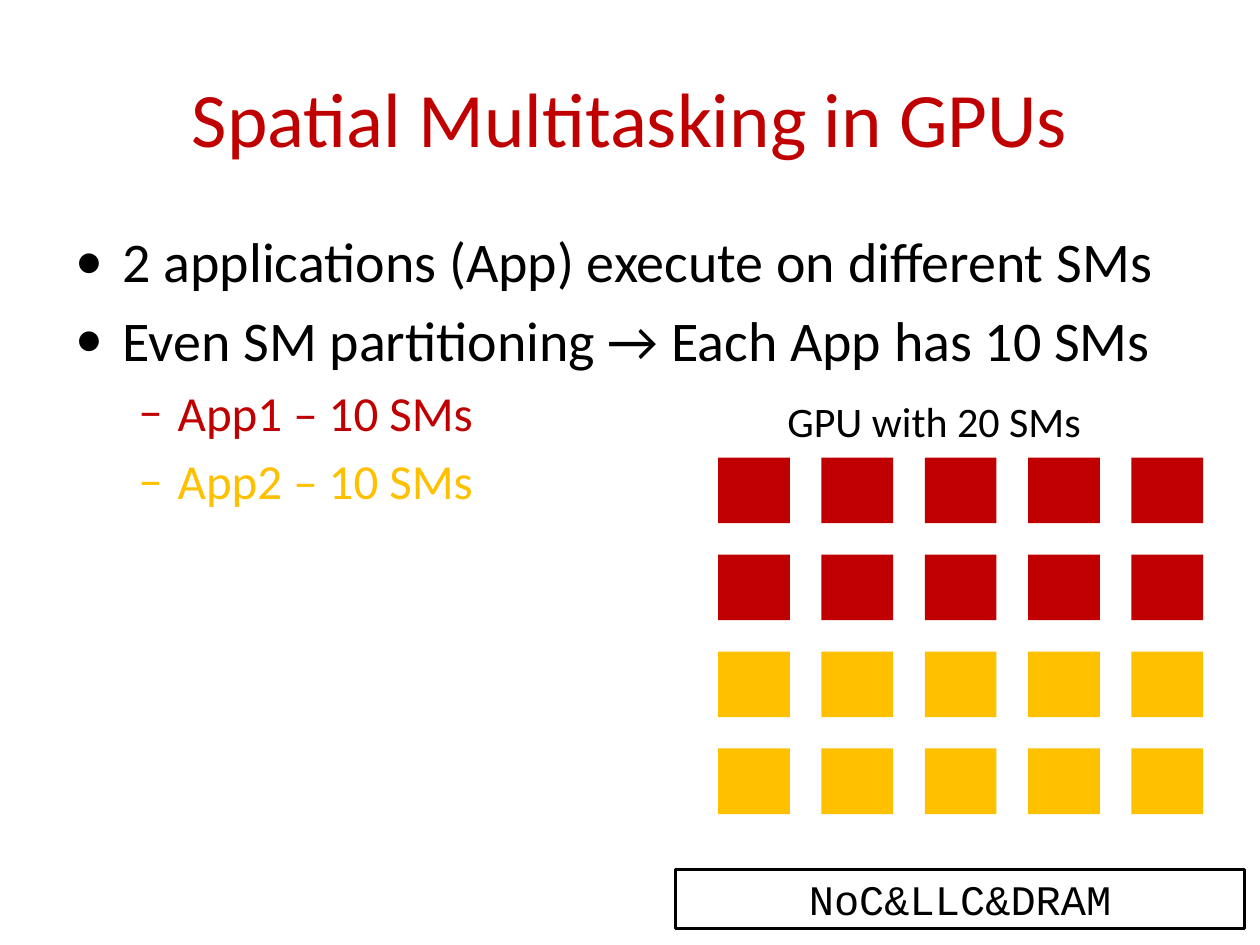
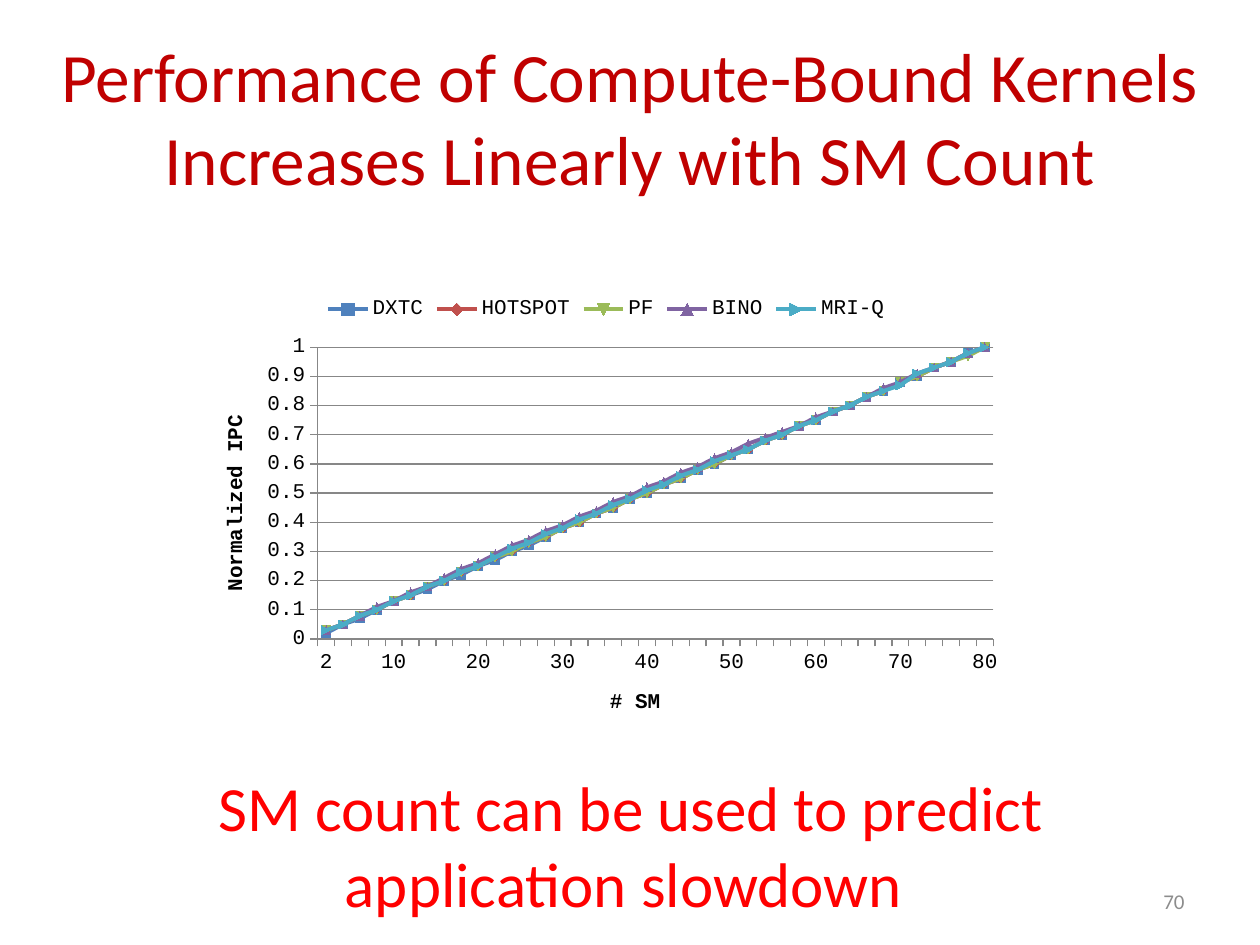
import itertools
import math
from dataclasses import dataclass
from typing import Any, NamedTuple

import lxml.etree
import pptx
import pptx.chart.data
import pptx.dml.color
import pptx.enum.chart
import pptx.enum.shapes
import pptx.enum.text
import pptx.oxml.ns
import pptx.util

Pt = pptx.util.Pt
qn = pptx.oxml.ns.qn
Align = pptx.enum.text.PP_ALIGN
Anchor = pptx.enum.text.MSO_ANCHOR


@dataclass(frozen=True)
class Theme:
    sans: str = "Calibri"
    mono: str = "Courier New"
    black: str = "000000"
    white: str = "FFFFFF"
    crimson: str = "C00000"
    amber: str = "FFC000"
    alert: str = "FF0000"
    number: str = "8C8C8C"
    grid: str = "878787"
    blue: str = "4F81BD"
    red: str = "C0504D"
    green: str = "9BBB59"
    purple: str = "8064A2"
    teal: str = "4BACC6"
    title_size: float = 44
    long_title_size: float = 39.6
    callout_size: float = 36
    bullet_size: float = 32
    dash_size: float = 28
    label_size: float = 24
    small_size: float = 12


class Area(NamedTuple):
    left: float
    top: float
    width: float
    height: float


class BulletLevel(NamedTuple):
    mark: str
    size: float
    margin: float
    hanging: float


class Bullet(NamedTuple):
    level: BulletLevel
    text: str
    color: str


class Kernel(NamedTuple):
    name: str
    color: str
    drift_by_sm_count: dict[int, float]


THEME = Theme()

MAIN_POINT = BulletLevel("•", THEME.bullet_size, margin=27, hanging=27)
SUB_POINT = BulletLevel("–", THEME.dash_size, margin=58.5, hanging=22.5)
BULLET_SPACING = 0.2
BULLETS = [
    Bullet(MAIN_POINT, "2 applications (App) execute on different SMs", THEME.black),
    Bullet(MAIN_POINT, "Even SM partitioning → Each App has 10 SMs", THEME.black),
    Bullet(SUB_POINT, "App1 – 10 SMs", THEME.crimson),
    Bullet(SUB_POINT, "App2 – 10 SMs", THEME.amber),
]

APP_COLORS = [THEME.crimson, THEME.amber]
ROWS_PER_APP = 2
SM_COLUMNS = 5
FIRST_SM = Area(410.4, 261.5, 41, 37.5)
SM_PITCH_X = 59.04
SM_PITCH_Y = 55.4

MAX_SM = 80
SM_STEP = 2
LABEL_STEP = 10
SM_COUNTS = range(SM_STEP, MAX_SM + 1, SM_STEP)
KERNELS = [
    Kernel("DXTC", THEME.blue,
           {0: 0, 2: -0.2, 6: -0.2, 10: 0.2, 14: -0.2, 26: -0.2, 30: 0, 80: 0}),
    Kernel("HOTSPOT", THEME.red, {0: 0, 80: 0}),
    Kernel("PF", THEME.green, {0: 0, 76: 0, 78: -0.2, 80: 0}),
    Kernel("BINO", THEME.purple,
           {0: 0, 24: 1.65, 52: 1.65, 64: 0.2, 68: 0.6, 72: 0.6, 76: 0.2, 80: 0}),
    Kernel("MRI-Q", THEME.teal,
           {0: 0, 20: 0.3, 24: 0.6, 48: 0.6, 52: 0.2, 68: 0.2, 70: -0.5,
            72: 0.6, 76: 0.2, 80: 0}),
]


def interpolate(knots: dict[int, float], position: int) -> float:
    for (start, low), (end, high) in itertools.pairwise(knots.items()):
        if start <= position <= end:
            return low + (high - low) * (position - start) / (end - start)
    raise ValueError(f"{position} lies outside the knots")


def normalized_ipc(kernel: Kernel, sm_count: int) -> float:
    linear_percent = 100 * sm_count / MAX_SM
    drift_percent = interpolate(kernel.drift_by_sm_count, sm_count)
    return math.floor(linear_percent + drift_percent + 0.5) / 100


def axis_label(sm_count: int) -> str:
    shown = sm_count == SM_COUNTS[0] or sm_count % LABEL_STEP == 0
    return str(sm_count) if shown else ""


def rgb(color: str) -> pptx.dml.color.RGBColor:
    return pptx.dml.color.RGBColor.from_string(color)


def points(area: Area) -> list[int]:
    return [Pt(length) for length in area]


def style_font(font: Any, *, size: float, color: str = THEME.black,
               face: str = THEME.sans, bold: bool = False) -> None:
    font.size = Pt(size)
    font.name = face
    font.bold = bold
    font.color.rgb = rgb(color)


def write(para: Any, text: str, *, align: Any = None, **font_format: Any) -> None:
    para.alignment = align
    span = para.add_run()
    span.text = text
    style_font(span.font, **font_format)


def fill_frame(frame: Any, text: str, *, anchor: Any = Anchor.TOP,
               wrap: bool = True, **text_format: Any) -> None:
    frame.word_wrap = wrap
    frame.vertical_anchor = anchor
    write(frame.paragraphs[0], text, **text_format)


def add_text(page: Any, area: Area, text: str, **frame_format: Any) -> None:
    fill_frame(page.shapes.add_textbox(*points(area)).text_frame, text, **frame_format)


def add_title(page: Any, area: Area, text: str, size: float) -> None:
    add_text(page, area, text, anchor=Anchor.MIDDLE, align=Align.CENTER,
             size=size, color=THEME.crimson)


def add_rectangle(page: Any, area: Area, fill: str, border: float = 0) -> Any:
    box = page.shapes.add_shape(pptx.enum.shapes.MSO_SHAPE.RECTANGLE, *points(area))
    box.shadow.inherit = False
    box.fill.solid()
    box.fill.fore_color.rgb = rgb(fill)
    if border:
        box.line.width = Pt(border)
        box.line.color.rgb = rgb(THEME.black)
    else:
        box.line.fill.background()
    return box


def set_bullet(para: Any, level: BulletLevel) -> None:
    properties = para._p.get_or_add_pPr()
    properties.set("marL", str(Pt(level.margin)))
    properties.set("indent", str(-Pt(level.hanging)))
    lxml.etree.SubElement(properties, qn("a:buFont")).set("typeface", THEME.sans)
    lxml.etree.SubElement(properties, qn("a:buChar")).set("char", level.mark)


def add_bullets(page: Any, area: Area, bullets: list[Bullet]) -> None:
    frame = page.shapes.add_textbox(*points(area)).text_frame
    frame.word_wrap = True
    for index, (level, text, color) in enumerate(bullets):
        para = frame.add_paragraph() if index else frame.paragraphs[0]
        set_bullet(para, level)
        if index:
            para.space_before = Pt(level.size * BULLET_SPACING)
        write(para, text, size=level.size, color=color)


def add_sm_grid(page: Any) -> None:
    for row, column in itertools.product(range(len(APP_COLORS) * ROWS_PER_APP),
                                         range(SM_COLUMNS)):
        area = FIRST_SM._replace(left=FIRST_SM.left + column * SM_PITCH_X,
                                 top=FIRST_SM.top + row * SM_PITCH_Y)
        add_rectangle(page, area, APP_COLORS[row // ROWS_PER_APP])


def place_chart_part(element: Any, index: int, **places: float) -> None:
    for previous in element.findall(qn("c:layout")):
        element.remove(previous)
    layout = lxml.etree.Element(qn("c:layout"))
    manual = lxml.etree.SubElement(layout, qn("c:manualLayout"))
    settings: dict[str, Any] = {"layoutTarget": "inner"} if "w" in places else {}
    settings |= {"xMode": "edge", "yMode": "edge"} | places
    for name, value in settings.items():
        lxml.etree.SubElement(manual, qn(f"c:{name}")).set("val", str(value))
    element.insert(index, layout)


def style_axis(axis: Any, title: str, x: float, y: float) -> None:
    write(axis.axis_title.text_frame.paragraphs[0], title,
          size=THEME.small_size, face=THEME.mono, bold=True)
    place_chart_part(axis.axis_title._element, 1, x=x, y=y)
    axis.major_tick_mark = pptx.enum.chart.XL_TICK_MARK.OUTSIDE
    axis.minor_tick_mark = pptx.enum.chart.XL_TICK_MARK.NONE
    axis.format.line.color.rgb = rgb(THEME.grid)
    style_font(axis.tick_labels.font, size=THEME.small_size, face=THEME.mono)


def show_every_category(axis: Any) -> None:
    skip = lxml.etree.Element(qn("c:tickLblSkip"))
    skip.set("val", "1")
    axis._element.find(qn("c:noMultiLvlLbl")).addprevious(skip)


def style_kernel_line(series: Any, color: str) -> None:
    series.smooth = False
    series.format.line.width = Pt(2.25)
    series.marker.size = 5
    series.marker.format.fill.solid()
    for painted in (series.format.line, series.marker.format.line):
        painted.color.rgb = rgb(color)
    series.marker.format.fill.fore_color.rgb = rgb(color)


def add_ipc_chart(page: Any, area: Area) -> None:
    data = pptx.chart.data.CategoryChartData(number_format="General")
    data.categories = [axis_label(count) for count in SM_COUNTS]
    for kernel in KERNELS:
        data.add_series(kernel.name, [normalized_ipc(kernel, count) for count in SM_COUNTS])
    chart = page.shapes.add_chart(
        pptx.enum.chart.XL_CHART_TYPE.LINE_MARKERS, *points(area), data).chart
    chart.has_title = False
    style_font(chart.font, size=THEME.small_size, face=THEME.mono)
    chart.has_legend = True
    chart.legend.position = pptx.enum.chart.XL_LEGEND_POSITION.TOP
    chart.legend.include_in_layout = False

    plot = chart.plots[0]
    plot.vary_by_categories = False
    for series, kernel in zip(plot.series, KERNELS):
        style_kernel_line(series, kernel.color)

    style_axis(chart.category_axis, "# SM", x=0.5, y=0.88)
    show_every_category(chart.category_axis)
    value_axis = chart.value_axis
    style_axis(value_axis, "Normalized IPC", x=0.03, y=0.28)
    value_axis.minimum_scale = 0
    value_axis.maximum_scale = 1
    value_axis.major_unit = 0.1
    value_axis.has_major_gridlines = True
    value_axis.major_gridlines.format.line.color.rgb = rgb(THEME.grid)
    plot_area = chart._chartSpace.find(".//" + qn("c:plotArea"))
    place_chart_part(plot_area, 0, x=0.15, y=0.14, w=0.82, h=0.64)


def build_multitasking_page(page: Any) -> None:
    add_title(page, Area(36, 21.6, 648, 90), "Spatial Multitasking in GPUs", THEME.title_size)
    add_bullets(page, Area(36, 126, 648, 356.4), BULLETS)
    add_sm_grid(page)
    add_text(page, Area(442.8, 222.5, 183.6, 36), "GPU with 20 SMs",
             wrap=False, size=THEME.label_size)
    memory = add_rectangle(page, Area(385.9, 496.8, 325.4, 33.8), THEME.white, border=2)
    fill_frame(memory.text_frame, "NoC&LLC&DRAM", anchor=Anchor.MIDDLE,
               align=Align.CENTER, size=THEME.label_size, face=THEME.mono)


def build_performance_page(page: Any) -> None:
    add_title(page, Area(0, 21.6, 720, 90),
              "Performance of Compute-Bound Kernels Increases Linearly with SM Count",
              THEME.long_title_size)
    add_text(page, Area(516.2, 500.4, 167.8, 28.8), "70", anchor=Anchor.MIDDLE,
             align=Align.RIGHT, size=THEME.small_size, color=THEME.number)
    add_ipc_chart(page, Area(110.9, 162, 470.9, 260.6))
    callout = add_rectangle(page, Area(105.1, 435.6, 510.5, 94.3), THEME.white)
    fill_frame(callout.text_frame, "SM count can be used to predict application slowdown ",
               align=Align.CENTER, size=THEME.callout_size, color=THEME.alert)


def main() -> None:
    deck = pptx.Presentation()
    deck.slide_width = Pt(720)
    deck.slide_height = Pt(540)
    for build_page in (build_multitasking_page, build_performance_page):
        build_page(deck.slides.add_slide(deck.slide_layouts[6]))
    deck.save("out.pptx")


if __name__ == "__main__":
    main()
